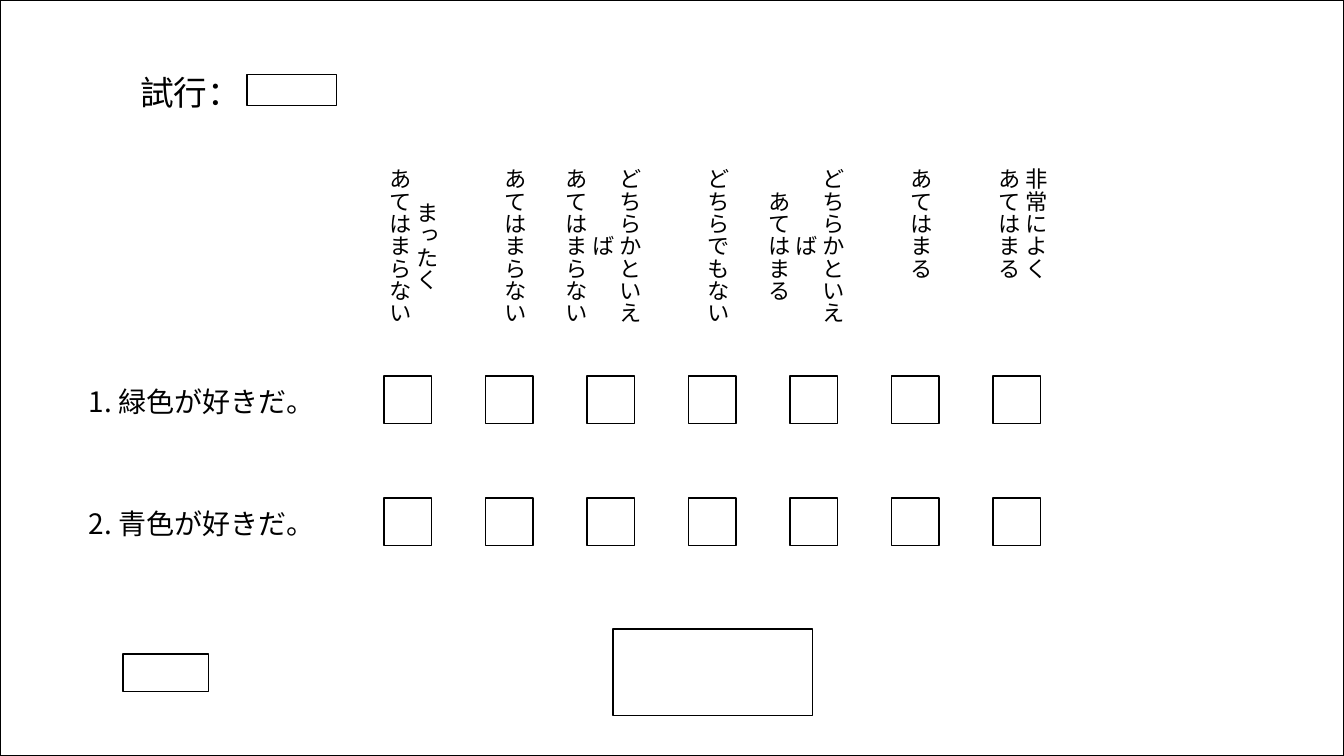
from pptx import Presentation
from pptx import util as u
from pptx.dml.color import RGBColor
from pptx.enum import shapes, text
from pptx.oxml.ns import qn
from lxml import etree

FONT = "Noto Sans CJK JP"
COLORS = {"ink": "000000", "paper": "FFFFFF"}
BOX_SIZE = 0.47
FIRST_BOX, LAST_BOX = 3.81, 9.85
# "\v" breaks a line, "\n" starts a paragraph
SCALE_LABELS = [
    "まったく\vあてはまらない",
    "あてはまらない",
    "どちらかといえば\nあてはまらない",
    "どちらでもない",
    "どちらかといえば\nあてはまる",
    "あてはまる",
    "非常によく\nあてはまる",
]
QUESTIONS = [("1. 緑色が好きだ。", 3.73), ("2. 青色が好きだ。", 4.94)]


def place(shape, left, top, width, height):
    """Set the position and size of a shape in inches."""
    shape.left, shape.top = u.Inches(left), u.Inches(top)
    shape.width, shape.height = u.Inches(width), u.Inches(height)


def add_box(container, left, top, width, height, filled=True):
    """Add a rectangle with a thin outline to a slide or group."""
    box = container.shapes.add_shape(
        shapes.MSO_SHAPE.RECTANGLE, u.Inches(left), u.Inches(top),
        u.Inches(width), u.Inches(height))
    box.shadow.inherit = False
    if filled:
        box.fill.solid()
        box.fill.fore_color.rgb = RGBColor.from_string(COLORS["paper"])
    else:
        box.fill.background()
    box.line.color.rgb = RGBColor.from_string(COLORS["ink"])
    box.line.width = u.Pt(1)


def write(shape, content, size):
    """Fill a shape with centred text in the slide font."""
    frame = shape.text_frame
    frame.text = content
    frame.word_wrap = True
    frame.auto_size = text.MSO_AUTO_SIZE.SHAPE_TO_FIT_TEXT
    frame.vertical_anchor = text.MSO_ANCHOR.TOP
    for paragraph in frame.paragraphs:
        paragraph.alignment = text.PP_ALIGN.CENTER
        for run in paragraph.runs:
            run.font.size = u.Pt(size)
            run.font.name = FONT
            run.font.color.rgb = RGBColor.from_string(COLORS["ink"])
            east_asian = etree.Element(qn("a:ea"), typeface=FONT)
            run.font._element.find(qn("a:latin")).addnext(east_asian)


def add_text(slide, content, left, top, width, height, size, vertical=False):
    """Add a text box, optionally with vertical East Asian text."""
    box = slide.shapes.add_textbox(0, 0, 0, 0)
    place(box, left, top, width, height)
    write(box, content, size)
    if vertical:
        box.text_frame._txBody.bodyPr.set("vert", "eaVert")


def add_scale_label(slide, label, box_left):
    """Add a vertical label centred over a column of answer boxes."""
    width = 0.74 if "\n" in label or "\v" in label else BOX_SIZE
    left = box_left + (BOX_SIZE - width) / 2
    add_text(slide, label, left, 1.57, width, 1.92, 16, vertical=True)


def add_question(slide, question, top, box_lefts):
    """Add a question and its grouped row of answer boxes."""
    answers = slide.shapes.add_group_shape()
    for left in box_lefts:
        add_box(answers, left, top, BOX_SIZE, BOX_SIZE)
    add_text(slide, question, 0.45, top + 0.04, 3.1, 0.44, 20)


def main():
    """Build the questionnaire slide and save it."""
    presentation = Presentation()
    presentation.slide_width = u.Inches(13.33)
    presentation.slide_height = u.Inches(7.5)
    slide = presentation.slides.add_slide(presentation.slide_layouts[5])

    add_box(slide, 6.08, 6.24, 1.98, 0.86)
    add_box(slide, 1.22, 6.49, 0.85, 0.37)
    add_box(slide, 0, 0, 13.33, 7.5, filled=False)

    title = slide.shapes.title
    place(title, 0.34, 0.66, 3.1, 0.5)
    write(title, "試行：", 24)
    add_box(slide, 2.45, 0.74, 0.89, 0.31, filled=False)

    pitch = (LAST_BOX - FIRST_BOX) / (len(SCALE_LABELS) - 1)
    box_lefts = [FIRST_BOX + pitch * i for i in range(len(SCALE_LABELS))]
    for label, left in zip(SCALE_LABELS, box_lefts):
        add_scale_label(slide, label, left)
    for question, top in QUESTIONS:
        add_question(slide, question, top, box_lefts)

    presentation.save("out.pptx")


main()
